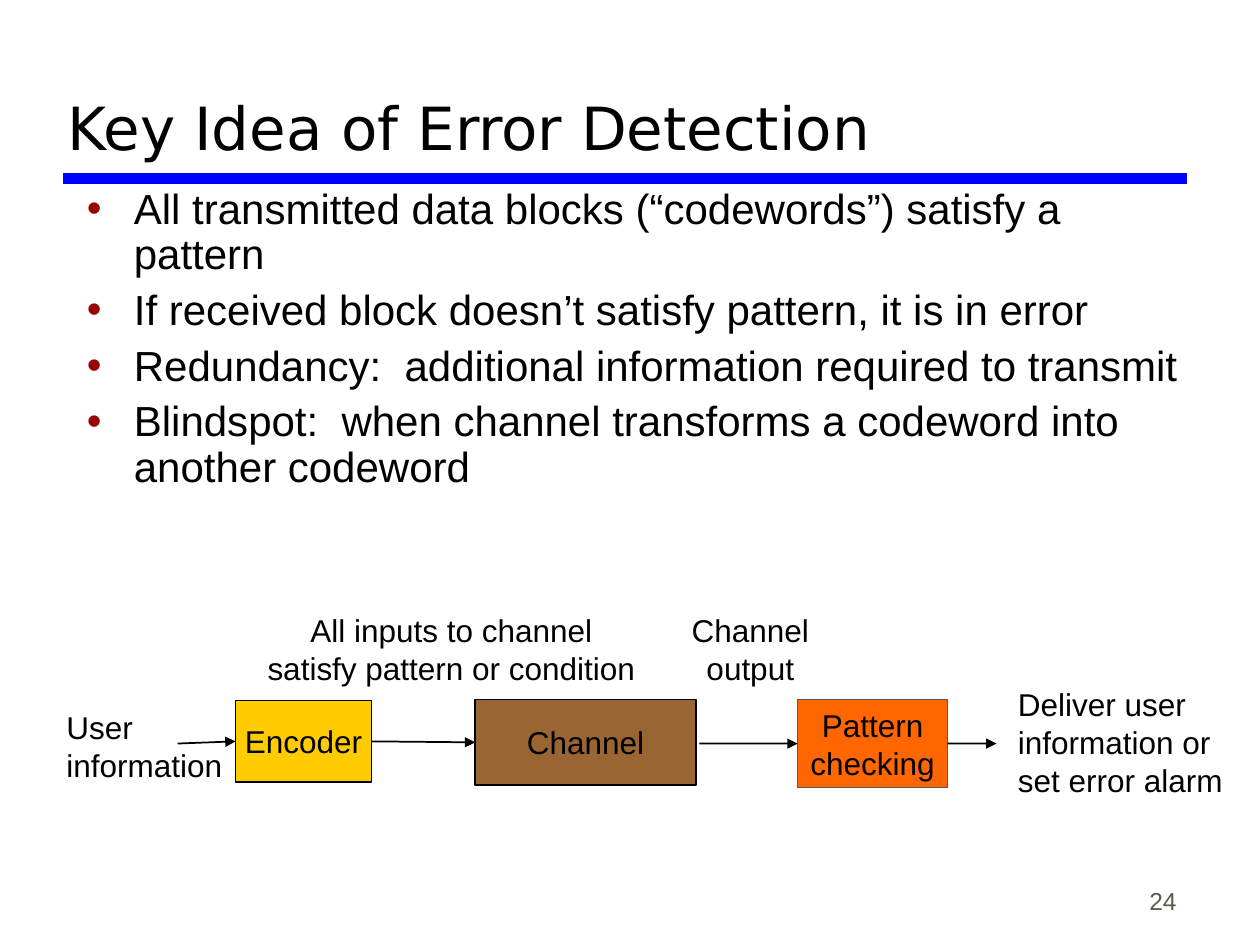
from pptx import Presentation
from pptx.dml.color import RGBColor
from pptx.enum import shapes, text
from pptx.oxml import parse_xml
from pptx.oxml.ns import nsdecls
from pptx.util import Cm, Pt

BLACK = "000000"
GREY = "5E574E"
LEFT, CENTER, RIGHT = text.PP_ALIGN.LEFT, text.PP_ALIGN.CENTER, text.PP_ALIGN.RIGHT
ABOVE, LEFT_SIDE, RIGHT_SIDE = text.MSO_ANCHOR.TOP, 1, 3


def color(value):
    return RGBColor.from_string(value)


def element(tag, attributes="", children=""):
    return parse_xml(f"<a:{tag} {nsdecls('a')} {attributes}>{children}</a:{tag}>")


def write(frame, lines, size, align=LEFT, anchor=ABOVE, wrap=True, font="Arial", ink=BLACK):
    frame.word_wrap = wrap
    frame.vertical_anchor = anchor
    for number, line in enumerate(lines):
        paragraph = frame.add_paragraph() if number else frame.paragraphs[0]
        paragraph.alignment = align
        run = paragraph.add_run()
        run.text = line
        run.font.name = font
        run.font.size = Pt(size)
        run.font.color.rgb = color(ink)


def add_text(slide, box, lines, size, **style):
    label = slide.shapes.add_textbox(*map(Cm, box))
    write(label.text_frame, lines, size, **style)
    return label.text_frame


def add_line(slide, start, end, ink=BLACK, weight=1, arrow=False):
    line = slide.shapes.add_connector(shapes.MSO_CONNECTOR.STRAIGHT, *map(Cm, start + end))
    line.line.color.rgb = color(ink)
    line.line.width = Pt(weight)
    if arrow:
        line.line._get_or_add_ln().append(element("tailEnd", 'type="triangle"'))
    line._element.spPr.append(element("effectLst"))
    return line


def add_heading(slide, box, title):
    left, top, width, height = box
    add_line(slide, (left + 0.15, top + height + 0.2),
             (left + width + 0.02, top + height + 0.2), "0000FF", 6)
    add_text(slide, box, [title], 34, anchor=text.MSO_ANCHOR.BOTTOM, font="DejaVu Sans")


def add_points(slide, box, points):
    frame = add_text(slide, box, points, 24)
    for number, point in enumerate(frame.paragraphs):
        properties = point._p.get_or_add_pPr()
        properties.set("marL", str(Cm(0.95)))
        properties.set("indent", str(-Cm(0.95)))
        properties.append(element("buClr", "", '<a:srgbClr val="990000"/>'))
        properties.append(element("buFont", 'typeface="Arial"'))
        properties.append(element("buChar", 'char="•"'))
        point.line_spacing = 0.9
        if number:
            point.space_before = Pt(6)


def add_channel_diagram(slide, box):
    left, top, width, height = box

    def add_stage(x, y, stage_width, stage_height, lines, fill, border=BLACK, weight=1):
        stage = slide.shapes.add_shape(
            shapes.MSO_SHAPE.RECTANGLE,
            *map(Cm, (left + x, top + y, stage_width, stage_height)))
        stage.shadow.inherit = False
        stage.fill.solid()
        stage.fill.fore_color.rgb = color(fill)
        stage.line.color.rgb = color(border)
        stage.line.width = Pt(weight)
        write(stage.text_frame, lines, 18, align=CENTER,
              anchor=text.MSO_ANCHOR.MIDDLE, wrap=False)
        return stage

    encoder = add_stage(3.66, 1.93, 2.74, 1.65, ["Encoder"], "FFCC00")
    channel = add_stage(8.49, 1.91, 4.45, 1.73, ["Channel"], "996633")
    checking = add_stage(14.99, 1.91, 3.02, 1.78, ["Pattern", "checking"],
                         "FF6600", GREY, 0.75)

    flows = [
        (2.49, 3.66, None, encoder),
        (6.4, 8.49, encoder, channel),
        (13.01, 14.99, None, checking),
        (18.01, 19, checking, None),
    ]
    for start, end, source, target in flows:
        flow = add_line(slide, (left + start, top + 2.8), (left + end, top + 2.8), arrow=True)
        if source:
            flow.begin_connect(source, RIGHT_SIDE)
        if target:
            flow.end_connect(target, LEFT_SIDE)

    labels = [
        (0, 1.96, 3.66, 1.78, LEFT, ["User", "information"]),
        (3.96, 0, 8.1, 1.78, CENTER, ["All inputs to channel", "satisfy pattern or condition"]),
        (12.6, 0, 2.87, 1.78, CENTER, ["Channel", "output"]),
        (19.18, 1.5, width - 19.18, height - 1.5, LEFT,
         ["Deliver user", "information or", "set error alarm"]),
    ]
    for x, y, label_width, label_height, align, lines in labels:
        add_text(slide, (left + x, top + y, label_width, label_height), lines, 18,
                 align=align, wrap=False)


def add_page_number(slide, box, number):
    add_text(slide, box, [number], 14, align=RIGHT, anchor=text.MSO_ANCHOR.BOTTOM, ink=GREY)


def main():
    deck = Presentation()
    deck.slide_width, deck.slide_height = Cm(25.4), Cm(19.05)
    slide = deck.slides.add_slide(deck.slide_layouts[6])
    add_heading(slide, (1.12, 0.43, 22.78, 2.97), "Key Idea of Error Detection")
    add_points(slide, (1.5, 3.66, 22.86, 8.03), [
        "All transmitted data blocks (“codewords”) satisfy a pattern",
        "If received block doesn’t satisfy pattern, it is in error",
        "Redundancy:  additional information required to transmit",
        "Blindspot:  when channel transforms a codeword into another codeword",
    ])
    add_channel_diagram(slide, (1.09, 12.19, 23.96, 4.04))
    add_page_number(slide, (18.69, 17.3, 5.28, 1.27), "24")
    deck.save("out.pptx")


if __name__ == "__main__":
    main()
